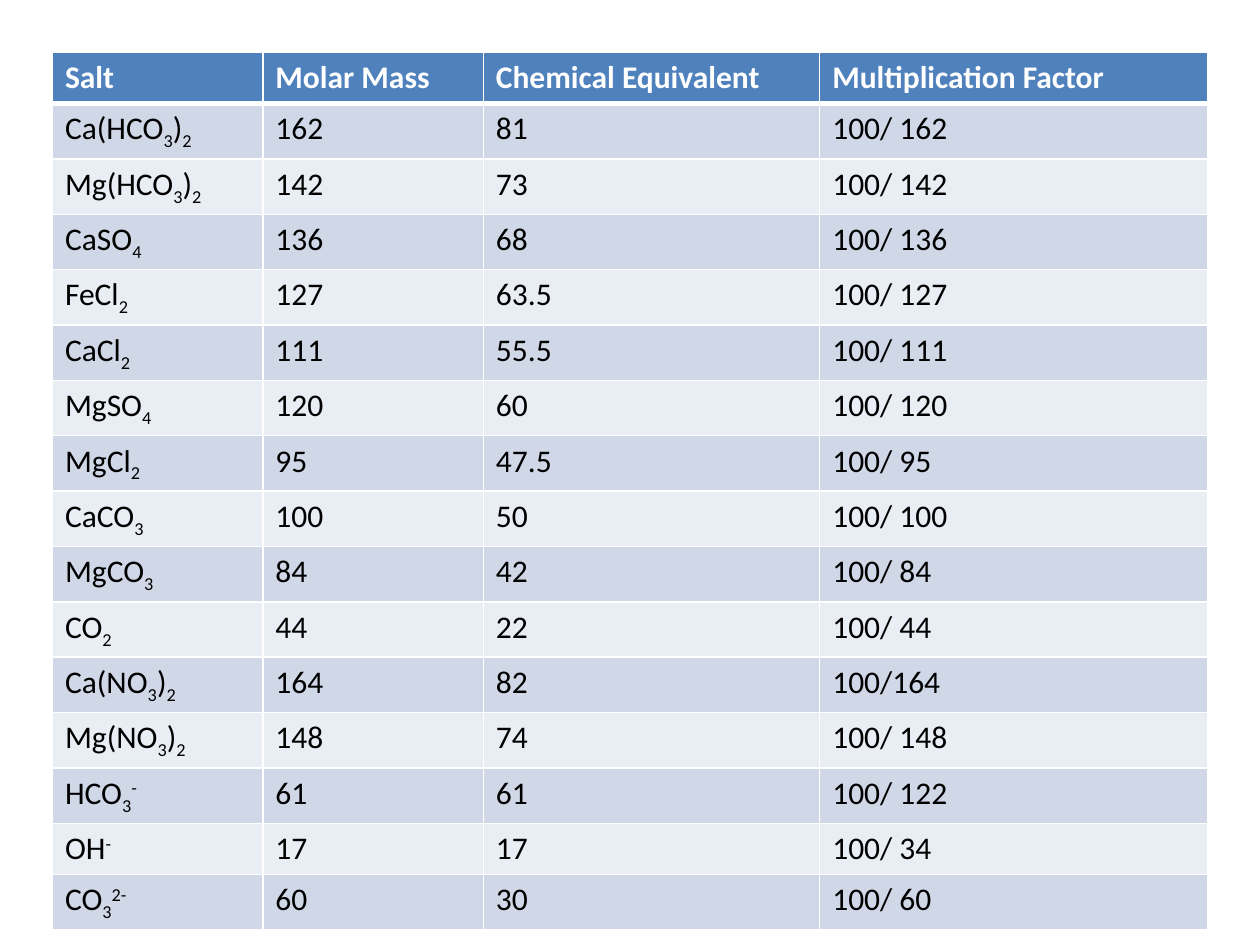
import itertools

import pptx
import pptx.dml.color
import pptx.oxml
import pptx.oxml.ns
import pptx.util

WHITE = pptx.dml.color.RGBColor(0xFF, 0xFF, 0xFF)
BLACK = pptx.dml.color.RGBColor(0x00, 0x00, 0x00)
HEADER_BLUE = pptx.dml.color.RGBColor(0x4F, 0x81, 0xBD)
BAND_DARK = pptx.dml.color.RGBColor(0xD0, 0xD8, 0xE8)
BAND_LIGHT = pptx.dml.color.RGBColor(0xE9, 0xED, 0xF4)

FONT = "Calibri"
SUBSCRIPT, SUPERSCRIPT = -25000, 30000
SLIDE_WIDTH, SLIDE_HEIGHT = 10, 7.5
MARGIN = SLIDE_WIDTH / 24
COLUMN_WIDTHS = [1.67, 1.75, 2.67, 3.08]
TABLE_HEIGHT = 6.49
THIN, THICK = 1, 3

HEADINGS = ["Salt", "Molar Mass", "Chemical Equivalent", "Multiplication Factor"]
# In a formula, digits are subscripts and the charge follows "^".
SALTS = [
    ("Ca(HCO3)2", "162", "81", "100/ 162"),
    ("Mg(HCO3)2", "142", "73", "100/ 142"),
    ("CaSO4", "136", "68", "100/ 136"),
    ("FeCl2", "127", "63.5", "100/ 127"),
    ("CaCl2", "111", "55.5", "100/ 111"),
    ("MgSO4", "120", "60", "100/ 120"),
    ("MgCl2", "95", "47.5", "100/ 95"),
    ("CaCO3", "100", "50", "100/ 100"),
    ("MgCO3", "84", "42", "100/ 84"),
    ("CO2", "44", "22", "100/ 44"),
    ("Ca(NO3)2", "164", "82", "100/164"),
    ("Mg(NO3)2", "148", "74", "100/ 148"),
    ("HCO3^-", "61", "61", "100/ 122"),
    ("OH^-", "17", "17", "100/ 34"),
    ("CO3^2-", "60", "30", "100/ 60"),
]


def add_text(para, text, color=BLACK, size=18, bold=False, baseline=0):
    span = para.add_run()
    span.text = text
    span.font.name = FONT
    span.font.size = pptx.util.Pt(size)
    span.font.bold = bold
    span.font.color.rgb = color
    if baseline:
        span.font._element.set("baseline", str(baseline))


def add_formula(para, formula):
    body, _, charge = formula.partition("^")
    for is_digit, letters in itertools.groupby(body, str.isdigit):
        add_text(para, "".join(letters), baseline=SUBSCRIPT if is_digit else 0)
    if charge:
        add_text(para, charge, baseline=SUPERSCRIPT)


def style_cell(cell, fill, top=THIN, bottom=THIN):
    """Give the cell white borders (widths in points) and a solid fill."""
    properties = cell._tc.get_or_add_tcPr()
    for side, width in (("L", THIN), ("R", THIN), ("T", top), ("B", bottom)):
        properties.append(pptx.oxml.parse_xml(
            f'<a:ln{side} {pptx.oxml.ns.nsdecls("a")} w="{pptx.util.Pt(width)}">'
            f'<a:solidFill><a:srgbClr val="{WHITE}"/></a:solidFill></a:ln{side}>'
        ))
    cell.fill.solid()
    cell.fill.fore_color.rgb = fill


def add_salt_table(page):
    row_count = len(SALTS) + 1
    table = page.shapes.add_table(
        row_count, len(HEADINGS),
        pptx.util.Inches(MARGIN), pptx.util.Inches(MARGIN),
        pptx.util.Inches(sum(COLUMN_WIDTHS)), pptx.util.Inches(TABLE_HEIGHT),
    ).table
    for column, width in zip(table.columns, COLUMN_WIDTHS):
        column.width = pptx.util.Inches(width)
    for row in table.rows:
        row.height = pptx.util.Inches(TABLE_HEIGHT / row_count)

    for index, heading in enumerate(HEADINGS):
        cell = table.cell(0, index)
        style_cell(cell, HEADER_BLUE, bottom=THICK)
        add_text(cell.text_frame.paragraphs[0], heading, color=WHITE, bold=True)

    for row_index, values in enumerate(SALTS, start=1):
        fill = BAND_DARK if row_index % 2 else BAND_LIGHT
        for index, value in enumerate(values):
            cell = table.cell(row_index, index)
            style_cell(cell, fill, top=THICK if row_index == 1 else THIN)
            para = cell.text_frame.paragraphs[0]
            if index == 0:
                add_formula(para, value)
            else:
                add_text(para, value)


def main():
    deck = pptx.Presentation()
    deck.slide_width = pptx.util.Inches(SLIDE_WIDTH)
    deck.slide_height = pptx.util.Inches(SLIDE_HEIGHT)
    page = deck.slides.add_slide(deck.slide_layouts[6])
    add_salt_table(page)
    deck.save("out.pptx")


if __name__ == "__main__":
    main()
